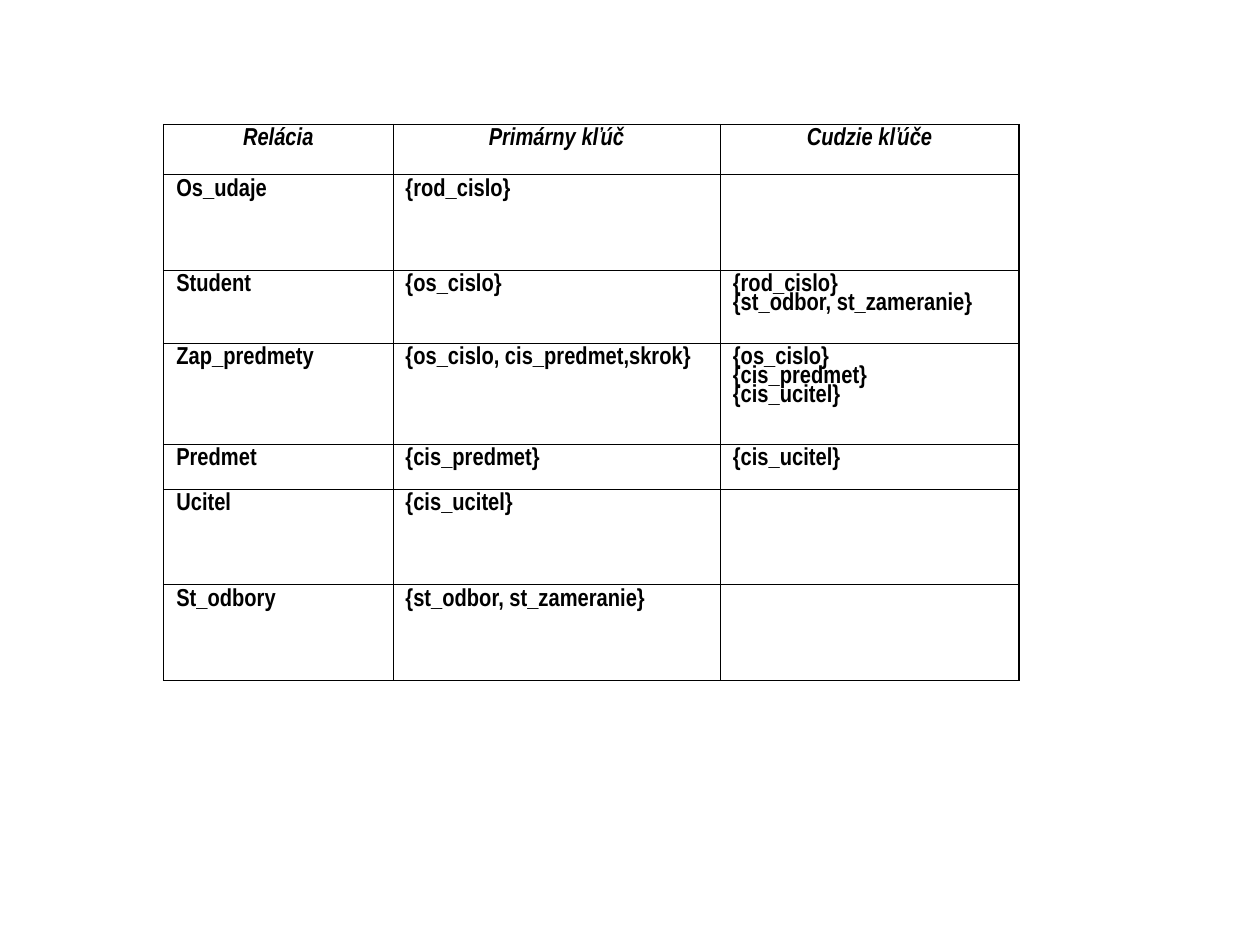
from lxml import etree
from pptx import Presentation
from pptx.dml.color import RGBColor
from pptx.enum.text import PP_ALIGN
from pptx.oxml.ns import qn
from pptx.util import Cm, Pt

CENTER = PP_ALIGN.CENTER
LEFT = PP_ALIGN.LEFT
COLORS = {"ink": "000000"}
FONT = "Arial Narrow"
OUTER_LINE = Pt(0.96)
INNER_LINE = Pt(0.45)
COLUMN_WIDTHS = [4.62, 6.6, 6.02]
ROW_HEIGHTS = [1.01, 1.93, 1.47, 2.03, 0.91, 1.93, 1.93]
KEY_ROWS = [
    ["Relácia", "Primárny kľúč", "Cudzie kľúče"],
    ["Os_udaje", "{rod_cislo}", ""],
    ["Student", "{os_cislo}", "{rod_cislo}\n{st_odbor, st_zameranie}"],
    ["Zap_predmety", "{os_cislo, cis_predmet,skrok}",
     "{os_cislo}\n{cis_predmet}\n{cis_ucitel}"],
    ["Predmet", "{cis_predmet}", "{cis_ucitel}"],
    ["Ucitel", "{cis_ucitel}", ""],
    ["St_odbory", "{st_odbor, st_zameranie}", ""],
]


def set_borders(cell, outer_edges):
    properties = cell._tc.get_or_add_tcPr()
    for side, is_outer in outer_edges.items():
        width = OUTER_LINE if is_outer else INNER_LINE
        line = etree.SubElement(properties, qn(f"a:ln{side}"), w=str(int(width)))
        fill = etree.SubElement(line, qn("a:solidFill"))
        etree.SubElement(fill, qn("a:srgbClr"), val=COLORS["ink"])


def write_cell(cell, text, is_header):
    cell.text = text
    for para in cell.text_frame.paragraphs:
        para.alignment = CENTER if is_header else LEFT
        para.line_spacing = 0.82
        para.font.name = FONT
        para.font.size = Pt(14)
        para.font.bold = True
        para.font.italic = is_header
        para.font.color.rgb = RGBColor.from_string(COLORS["ink"])


def add_key_table(page):
    row_count, column_count = len(KEY_ROWS), len(COLUMN_WIDTHS)
    table = page.shapes.add_table(
        row_count, column_count, Cm(3.3), Cm(2.51),
        Cm(sum(COLUMN_WIDTHS)), Cm(sum(ROW_HEIGHTS))).table
    table.first_row = False
    table.horz_banding = False
    for column, width in zip(table.columns, COLUMN_WIDTHS):
        column.width = Cm(width)
    for row, height in zip(table.rows, ROW_HEIGHTS):
        row.height = Cm(height)
    for row_index, texts in enumerate(KEY_ROWS):
        for column_index, text in enumerate(texts):
            cell = table.cell(row_index, column_index)
            write_cell(cell, text, row_index == 0)
            set_borders(cell, {
                "L": column_index == 0,
                "R": column_index == column_count - 1,
                "T": row_index == 0,
                "B": row_index == row_count - 1,
            })
            cell.fill.background()


def main():
    deck = Presentation()
    deck.slide_width = Cm(25.4)
    deck.slide_height = Cm(19.05)
    page = deck.slides.add_slide(deck.slide_layouts[6])
    add_key_table(page)
    deck.save("out.pptx")


if __name__ == "__main__":
    main()
